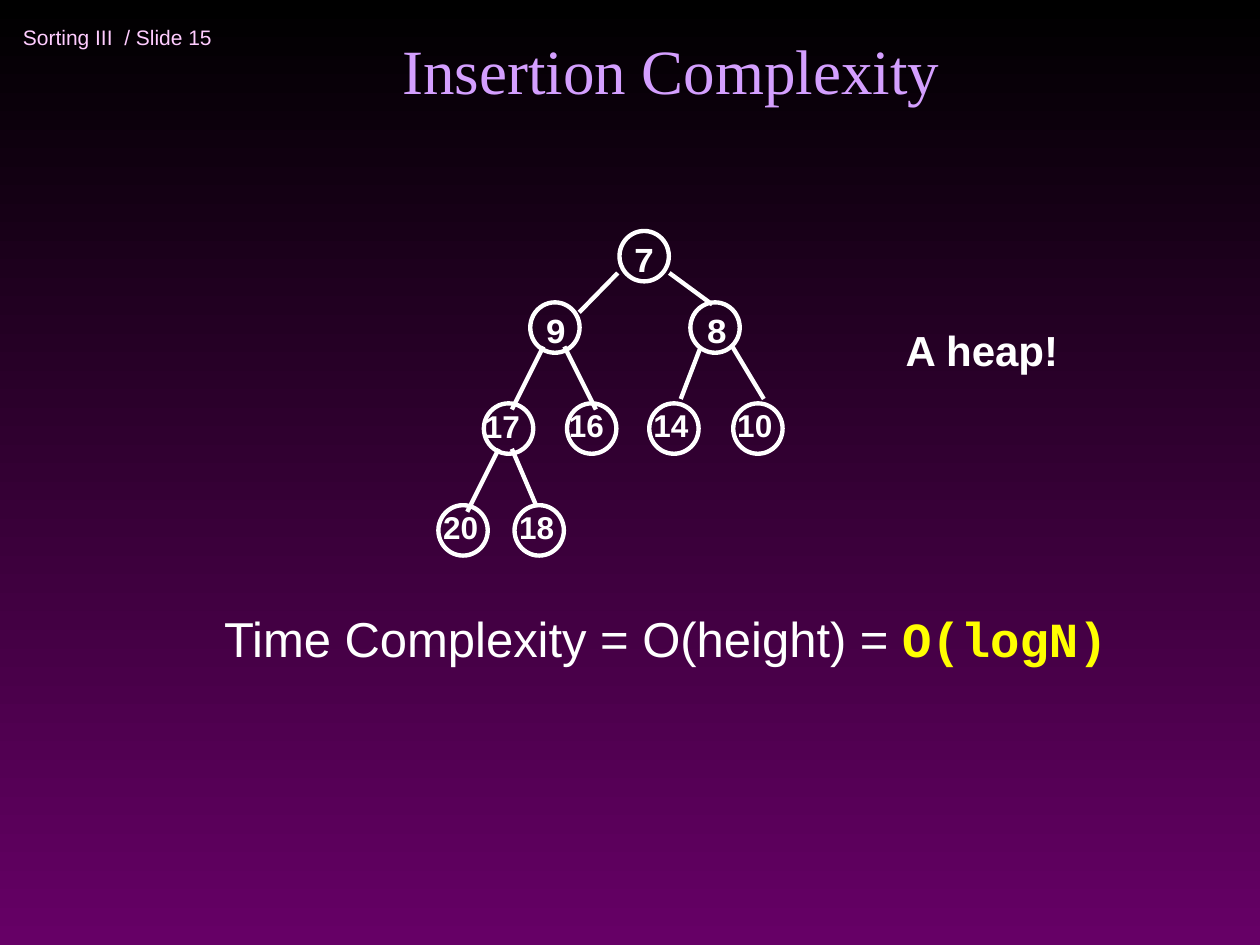
"""Build the slide on heap insertion complexity."""
from lxml.etree import SubElement
from pptx import Presentation
from pptx.dml.color import RGBColor
from pptx.enum.shapes import MSO_CONNECTOR as CONNECTOR, MSO_SHAPE as SHAPE
from pptx.enum.text import MSO_ANCHOR as ANCHOR, PP_ALIGN as ALIGN
from pptx.oxml.ns import qn
from pptx.util import Pt


def color(value):
    return RGBColor.from_string(value)


def add_text(left, top, width, height, runs, size, bold=False, wrap=False):
    box = slide.shapes.add_textbox(Pt(left), Pt(top), Pt(width), Pt(height))
    box.text_frame.word_wrap = wrap
    paragraph = box.text_frame.paragraphs[0]
    paragraph.font.size = Pt(size)
    paragraph.font.bold = bold
    for text, font_name, text_color in runs:
        run = paragraph.add_run()
        run.text = text
        run.font.name = font_name
        run.font.color.rgb = color(text_color)
    return box.text_frame


WHITE = "FFFFFF"
LINE_WIDTH = 2.5
NODE_WIDTH, NODE_HEIGHT = 28.2, 28.8

presentation = Presentation()
presentation.slide_width, presentation.slide_height = Pt(720), Pt(540)
slide = presentation.slides.add_slide(presentation.slide_layouts[6])

background = slide.background.fill
background.gradient()
background.gradient_angle = 270
for stop, stop_color in zip(background.gradient_stops, ("000000", "660066")):
    stop.color.rgb = color(stop_color)

header = add_text(6, 6, 198, 30, [("Sorting III  / Slide 15", "Arial", "FFCCFF")], 12, wrap=True)
header.vertical_anchor = ANCHOR.MIDDLE
title = add_text(79, 18, 618, 47, [("Insertion Complexity ", "Times New Roman", "D49FFF")], 36, wrap=True)
title.vertical_anchor = ANCHOR.BOTTOM
title.paragraphs[0].alignment = ALIGN.CENTER
add_text(510.5, 182, 102, 36, [("A heap!", "Arial", WHITE)], 24, bold=True)

nodes = [
    ("7", 354, 132, 355, 132),
    ("9", 303, 172.8, 304.5, 172.8),
    ("8", 394.5, 172.8, 396.5, 172.8),
    ("17", 276.5, 230.5, 270, 229),
    ("16", 324, 230.5, 318, 228.3),
    ("14", 371, 230.5, 366.3, 228.3),
    ("10", 419, 230.5, 414.2, 228.3),
    ("20", 250.5, 288.7, 246.2, 286.5),
    ("18", 294, 288.7, 289.5, 286.5),
]
for label, left, top, label_left, label_top in nodes:
    shape = slide.shapes.add_shape(SHAPE.OVAL, Pt(left), Pt(top), Pt(NODE_WIDTH), Pt(NODE_HEIGHT))
    shape.shadow.inherit = False
    shape.fill.background()
    shape.line.color.rgb = color(WHITE)
    shape.line.width = Pt(LINE_WIDTH)
    width, height, size, font_name = (26, 31.5, 20, "Courier New") if len(label) == 1 else (34.5, 29, 18, "Arial")
    add_text(label_left, label_top, width, height, [(label, font_name, WHITE)], size, bold=True)

edges = [
    (353, 156, 331, 178.5),
    (382.5, 156, 407, 174),
    (310.5, 198, 292.5, 234),
    (322.5, 198, 340.5, 234),
    (400.5, 198, 389, 228),
    (418.5, 198, 436.5, 228),
    (285, 256.5, 267, 292.5),
    (292.5, 256.5, 306, 288),
]
for edge in edges:
    connector = slide.shapes.add_connector(CONNECTOR.STRAIGHT, *map(Pt, edge))
    connector.line.color.rgb = color(WHITE)
    connector.line.width = Pt(LINE_WIDTH)
    SubElement(connector._element.spPr, qn("a:effectLst"))

complexity = add_text(
    121, 344, 520, 41,
    [("Time Complexity = O(height) = ", "Arial", WHITE), ("O(logN)", "Courier New", "FFFF00")],
    28,
)
complexity.paragraphs[0].runs[1].font.bold = True

presentation.save("out.pptx")
